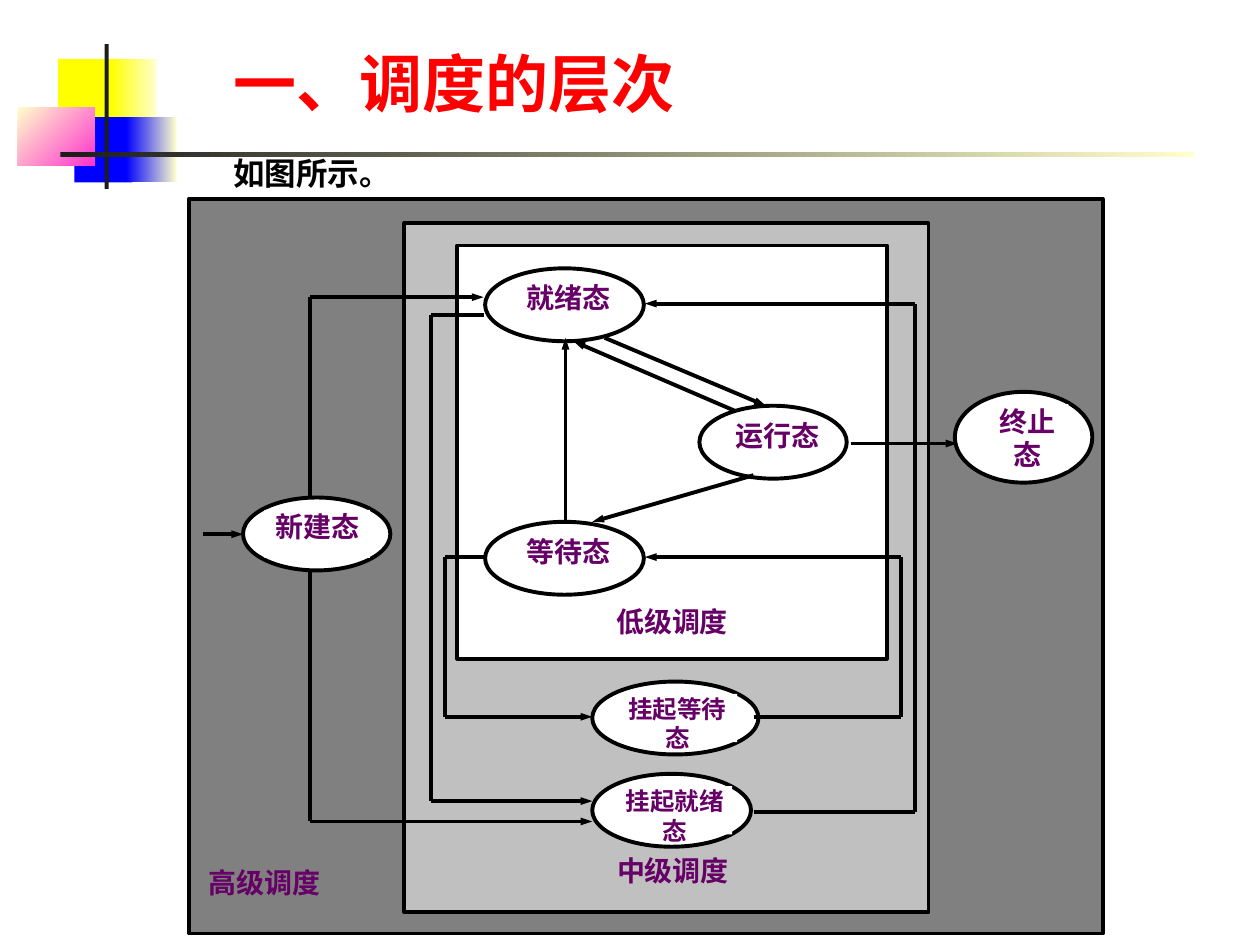
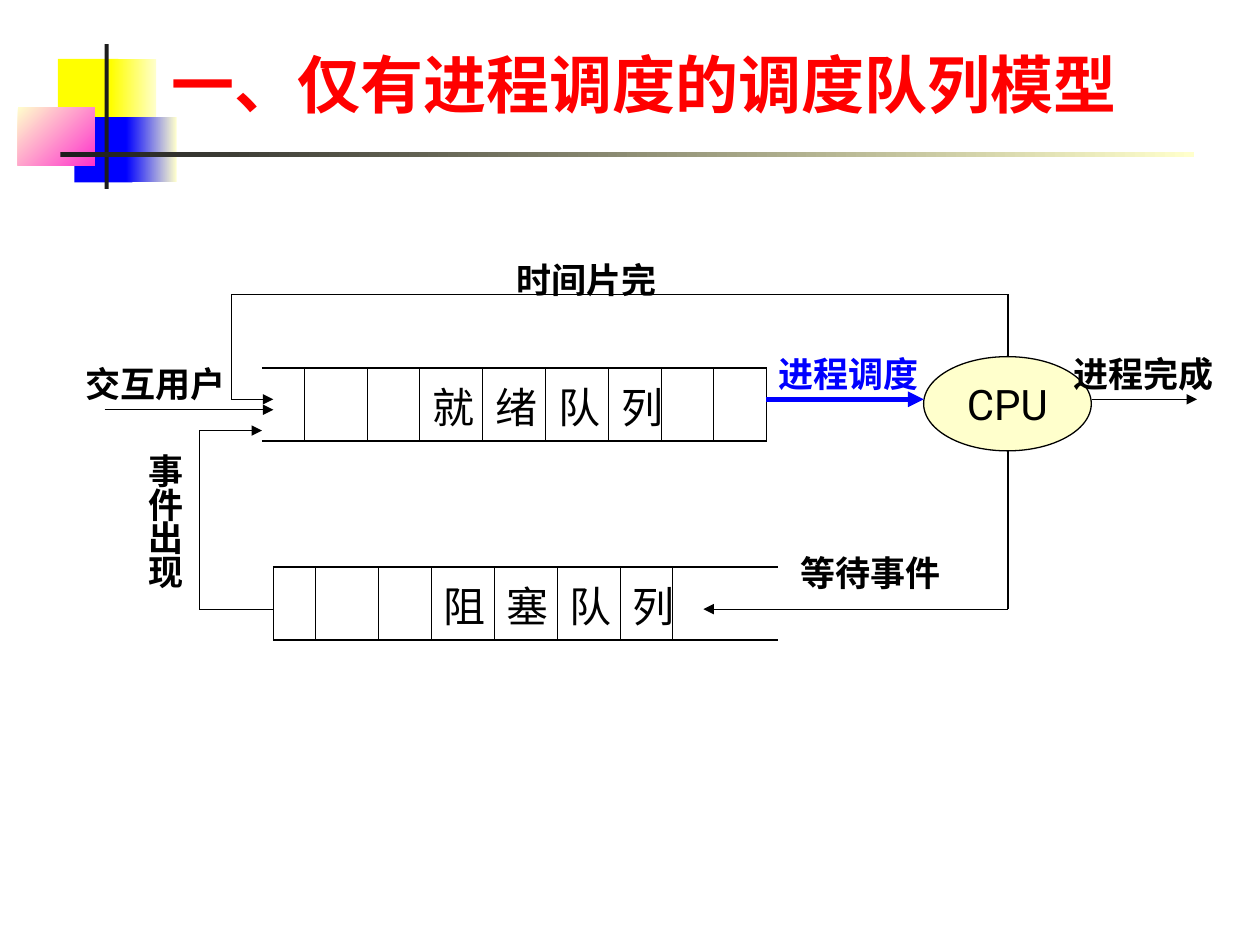
from lxml import etree
from pptx import Presentation
from pptx.dml.color import RGBColor
from pptx.enum.shapes import MSO_CONNECTOR, MSO_SHAPE
from pptx.enum.text import MSO_ANCHOR, PP_ALIGN
from pptx.oxml.ns import qn
from pptx.util import Cm, Pt

RECT, OVAL = MSO_SHAPE.RECTANGLE, MSO_SHAPE.OVAL
STRAIGHT = MSO_CONNECTOR.STRAIGHT
TOP, MIDDLE, BOTTOM = MSO_ANCHOR.TOP, MSO_ANCHOR.MIDDLE, MSO_ANCHOR.BOTTOM
LEFT, CENTER = PP_ALIGN.LEFT, PP_ALIGN.CENTER


class Theme:
    black, white = "000000", "FFFFFF"
    red, blue, purple = "FF0000", "0000FF", "660066"
    yellow, cream, pink, ink = "FFFF00", "FFFFCC", "FF33CC", "1C1C1C"
    dark, light = "808080", "C0C0C0"
    sans, latin = "Noto Sans CJK SC", "Roboto"
    title, cell, label, body, state, small = 36, 24, 20, 18, 16, 14
    bold, thick, thin, rule, hair = 3, 2.25, 0.75, 1.08, 0.45


def box(slide, place, kind=None, fill=None, line=None, width=Theme.thick, text="",
        size=Theme.label, color=Theme.black, font=Theme.sans, bold=True,
        align=LEFT, anchor=TOP, inset=True, wrap=True):
    """Add a preset shape, or a text box when kind is None; a fill pair is a gradient."""
    area = [Cm(n) for n in place]
    if kind is None:
        shape = slide.shapes.add_textbox(*area)
    else:
        shape = slide.shapes.add_shape(kind, *area)
        shape.shadow.inherit = False
        if isinstance(fill, tuple):
            shape.fill.gradient()
            shape.fill.gradient_angle = 315 if Theme.pink in fill else 0
            for stop, tone in zip(shape.fill.gradient_stops, fill):
                stop.color.rgb = RGBColor.from_string(tone)
        else:
            shape.fill.solid()
            shape.fill.fore_color.rgb = RGBColor.from_string(fill)
        if line:
            shape.line.color.rgb = RGBColor.from_string(line)
            shape.line.width = Pt(width)
        else:
            shape.line.fill.background()
    if text:
        frame = shape.text_frame
        frame.text = text
        frame.word_wrap = wrap
        frame.vertical_anchor = anchor
        if not inset:
            frame.margin_left = frame.margin_right = 0
            frame.margin_top = frame.margin_bottom = 0
        for para in frame.paragraphs:
            para.alignment = align
            para.font.name, para.font.size, para.font.bold = font, Pt(size), bold
            para.font.color.rgb = RGBColor.from_string(color)
    return shape


def link(slide, points, width, color=Theme.black, tip="med"):
    """Join the points with straight lines; the last one ends in an arrow of tip width."""
    for start, end in zip(points, points[1:]):
        wire = slide.shapes.add_connector(STRAIGHT, *[Cm(n) for n in start + end])
        wire.line.color.rgb = RGBColor.from_string(color)
        wire.line.width = Pt(width)
        etree.SubElement(wire._element.spPr, qn("a:effectLst"))
    etree.SubElement(wire.line._ln, qn("a:tailEnd"), type="triangle", w=tip, len="med")


deck = Presentation()
deck.slide_width, deck.slide_height = Cm(25.4), Cm(19.05)

# Shared corner blocks, rules and titles
decor = [
    ((1.17, 1.19, 1.22, 1.32), Theme.yellow),
    ((2.24, 1.19, 0.91, 1.32), (Theme.yellow, Theme.cream)),
    ((1.5, 2.36, 1.17, 1.32), Theme.blue),
    ((2.54, 2.36, 1.02, 1.32), (Theme.blue, Theme.cream)),
    ((0.36, 2.16, 1.55, 1.17), (Theme.cream, Theme.pink)),
    ((2.11, 0.89, 0.08, 2.92), Theme.ink),
    ((1.22, 3.07, 22.86, 0.1), (Theme.ink, Theme.cream)),
]
titles = [
    ("一、调度的层次", (4.45, 0.43, 13.13, 2.11)),
    ("一、仅有进程调度的调度队列模型", (3.2, 0.71, 21.64, 1.85)),
]
for title, place in titles:
    slide = deck.slides.add_slide(deck.slide_layouts[6])
    for area, fill in decor:
        box(slide, area, RECT, fill)
    box(slide, place, text=title, size=Theme.title, color=Theme.red, anchor=BOTTOM)
levels, queues = deck.slides

# Slide 1: nested scheduling levels
box(levels, (4.45, 2.98, 12, 1.2), text="如图所示。", size=Theme.body)
frames = [
    ((3.81, 4.01, 18.42, 14.81), Theme.dark),
    ((8.15, 4.5, 10.57, 13.89), Theme.light),
    ((9.22, 4.95, 8.66, 8.33), Theme.white),
]
for place, fill in frames:
    box(levels, place, RECT, fill, Theme.black)

captions = [
    ("高级调度", (4.04, 17.45, 2.59, 0.91)),
    ("中级调度", (11.94, 17.2, 3.25, 0.91)),
    ("低级调度", (9.22, 12.19, 8.66, 0.91)),
]
for text, place in captions:
    box(levels, place, text=text, size=Theme.state, color=Theme.purple,
        align=CENTER, inset=False)

# Name, type size, oval, then left and width of its label
states = [
    ("新建态", Theme.state, (4.9, 10.03, 2.97, 1.47), 5.33, 2.13),
    ("挂起就绪态", Theme.small, (11.94, 15.6, 3.2, 1.47), 12.45, 2.31),
    ("挂起等待态", Theme.small, (11.94, 13.74, 3.35, 1.47), 12.45, 2.41),
    ("运行态", Theme.state, (14.1, 8.18, 2.97, 1.47), 14.78, 1.78),
    ("就绪态", Theme.state, (9.78, 5.41, 3.2, 1.47), 10.49, 1.93),
    ("等待态", Theme.state, (9.78, 10.52, 3.2, 1.47), 10.49, 1.93),
    ("终止态", Theme.state, (19.25, 7.9, 2.77, 1.83), 19.89, 1.65),
]
for name, size, oval, left, wide in states:
    box(levels, oval, OVAL, Theme.white, Theme.black)
    box(levels, (left, oval[1] + 0.25, wide, oval[3] - 0.5), RECT, Theme.white,
        text=name, size=size, color=Theme.purple, align=CENTER, inset=False)

moves = [
    [(4.09, 10.77), (4.9, 10.77)],
    [(6.25, 10.05), (6.25, 5.99), (9.75, 5.99)],
    [(6.25, 11.48), (6.25, 16.56), (11.94, 16.56)],
    [(11.4, 10.49), (11.4, 6.81)],
    [(15.19, 9.58), (11.94, 10.52)],
    [(14.81, 8.28), (11.56, 6.88)],
    [(12.19, 6.81), (15.44, 8.18)],
    [(15.19, 14.45), (18.16, 14.45), (18.16, 11.23), (13, 11.23)],
    [(9.78, 11.23), (8.97, 11.23), (8.97, 14.45), (11.94, 14.45)],
    [(9.75, 6.35), (8.69, 6.35), (8.69, 16.15), (11.94, 16.15)],
    [(15.19, 16.36), (18.44, 16.36), (18.44, 6.12), (13, 6.12)],
    [(17.15, 8.94), (19.3, 8.94)],
]
for points in moves:
    link(levels, points, Theme.thick, tip="sm")

# Slide 2: queues as one-row tables; the open end has no upright borders
widths = [0.85, 1.27, 1.06, 1.27, 1.27, 1.27, 1.06, 1.06, 1.06]
count = len(widths)
rows = [
    ("就绪队列", 5.28, 7.42, range(1, count + 1)),
    ("阻塞队列", 5.51, 11.43, range(count - 1)),
]
for word, left, top, walls in rows:
    grid = queues.shapes.add_table(1, count, Cm(left), Cm(top),
                                   Cm(sum(widths)), Cm(1.47)).table
    grid.first_row = grid.horz_banding = False
    for i, wide in enumerate(widths):
        grid.columns[i].width = Cm(wide)
        cell = grid.cell(0, i)
        cell.fill.background()
        if 3 <= i < 3 + len(word):
            cell.text = word[i - 3]
            para = cell.text_frame.paragraphs[0]
            para.space_before = Pt(6)
            para.font.name, para.font.size = Theme.latin, Pt(Theme.cell)
            para.font.color.rgb = RGBColor.from_string(Theme.black)
        sides = [("L", Theme.hair, i in walls), ("R", Theme.hair, i + 1 in walls),
                 ("T", Theme.rule, True), ("B", Theme.rule, True)]
        for n, (side, width, shown) in enumerate(sides):
            edge = etree.Element(qn("a:ln" + side), w=str(Pt(width)))
            if shown:
                paint = etree.SubElement(edge, qn("a:solidFill"))
                etree.SubElement(paint, qn("a:srgbClr"), val=Theme.black)
            else:
                etree.SubElement(edge, qn("a:noFill"))
            cell._tc.get_or_add_tcPr().insert(n, edge)

box(queues, (18.62, 7.19, 3.38, 1.9), OVAL, Theme.cream, Theme.black, Theme.thin,
    text="CPU", size=Theme.cell, font=Theme.latin, bold=False,
    align=CENTER, anchor=MIDDLE, wrap=False)

flows = [
    [(20.32, 7.19), (20.32, 5.93), (4.66, 5.93), (4.66, 8.05), (5.51, 8.05)],
    [(2.11, 8.26), (5.51, 8.26)],
    [(22.01, 8.05), (24.13, 8.05)],
    [(20.32, 9.1), (20.32, 12.28), (14.18, 12.28)],
    [(5.51, 12.28), (4.02, 12.28), (4.02, 8.68), (5.28, 8.68)],
]
for points in flows:
    link(queues, points, Theme.thin)
link(queues, [(15.45, 8.05), (18.62, 8.05)], Theme.bold, Theme.blue)

labels = [
    ("进程调度", (15.45, 6.99, 4.24, 1.12), Theme.blue),
    ("时间片完", (10.16, 5.08, 4.65, 1.12), Theme.black),
    ("进程完成", (21.39, 6.99, 3.38, 1.12), Theme.black),
    ("等待事件", (15.88, 11, 3.81, 1.12), Theme.black),
    ("交互用户", (1.47, 7.19, 3.38, 1.12), Theme.black),
]
for text, place, color in labels:
    box(queues, place, text=text, color=color, font=Theme.latin)
event = box(queues, (2.74, 9.1, 1.48, 2.97), text="事\n件\n出\n现", font=Theme.latin)
for para in event.text_frame.paragraphs:
    para.line_spacing = 0.8

deck.save("out.pptx")
